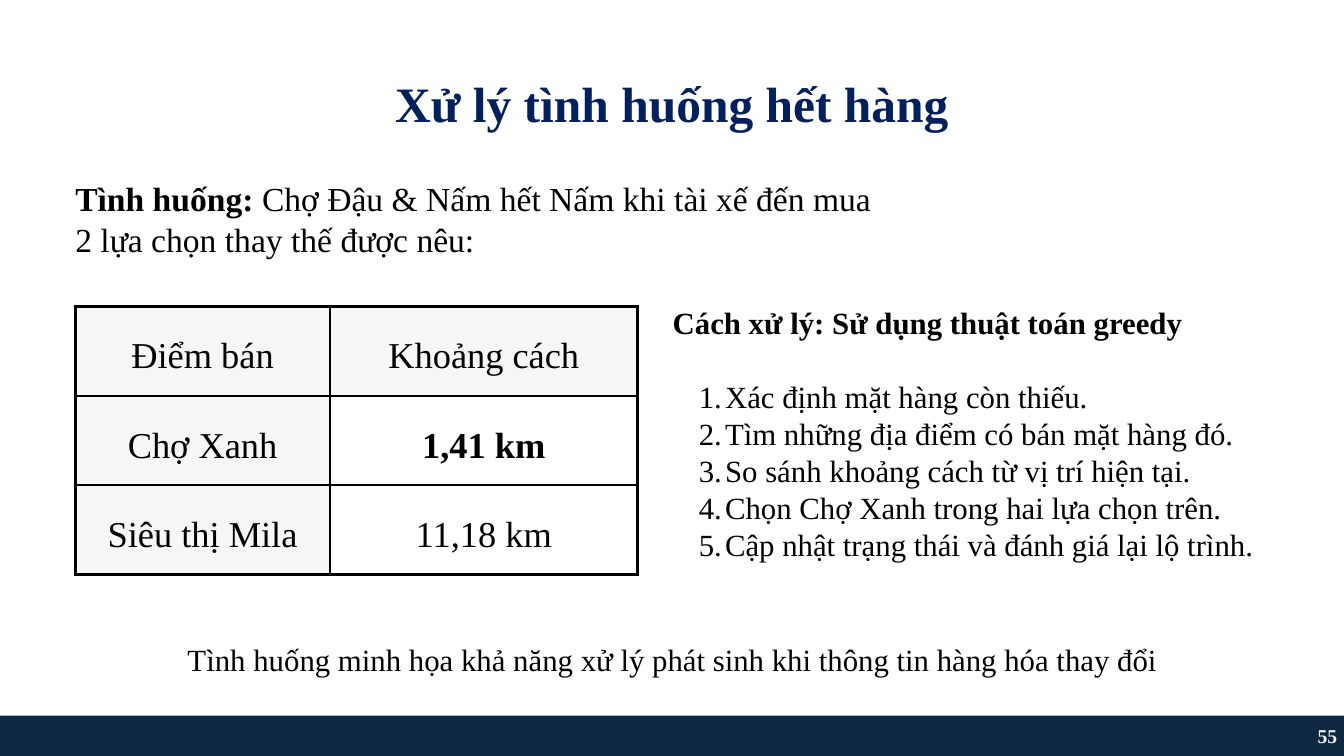
from dataclasses import dataclass

from lxml.etree import SubElement
from pptx import Presentation
from pptx.dml.color import RGBColor
from pptx.enum.shapes import MSO_SHAPE
from pptx.enum.text import MSO_ANCHOR as Anchor, MSO_AUTO_SIZE as AutoSize, PP_ALIGN as Align
from pptx.oxml.ns import qn
from pptx.util import Emu, Pt

PX = 9144  # EMU in one px, at 100 px to the inch
FONT = "Times New Roman"
COLORS = {
    "navy": "002060",
    "footer": "0E2841",
    "page": "F2F2F2",
    "text": "000000",
    "label": "F6F6F6",
    "white": "FFFFFF",
}


@dataclass(frozen=True)
class Box:
    left: int
    top: int
    width: int
    height: int

    def emu(self) -> tuple:
        return tuple(px(n) for n in (self.left, self.top, self.width, self.height))


@dataclass(frozen=True)
class Style:
    size: float
    line: float
    color: str = "text"
    bold: bool | None = False
    align: Align = Align.LEFT


TITLE = Style(53, 63.6, "navy", True, Align.CENTER)
INTRO = Style(36, 43.2)
MIXED = Style(36, 43.2, bold=None)
HEADING = Style(33, 39.6, bold=True)
STEP = Style(33, 39.6)
CLOSING = Style(33, 46.2, align=Align.CENTER)
CELL = Style(39, 54.6, align=Align.CENTER)
CELL_BOLD = Style(39, 54.6, bold=True, align=Align.CENTER)
PAGE = Style(21, 25.2, "page", True, Align.RIGHT)

ROWS = [
    ("Điểm bán", "Khoảng cách"),
    ("Chợ Xanh", "1,41 km"),
    ("Siêu thị Mila", "11,18 km"),
]
NEAREST = "1,41 km"
STEPS = [
    "Xác định mặt hàng còn thiếu.",
    "Tìm những địa điểm có bán mặt hàng đó.",
    "So sánh khoảng cách từ vị trí hiện tại.",
    "Chọn Chợ Xanh trong hai lựa chọn trên.",
    "Cập nhật trạng thái và đánh giá lại lộ trình.",
]


def px(length: int) -> Emu:
    return Emu(length * PX)


def rgb(name: str) -> RGBColor:
    return RGBColor.from_string(COLORS[name])


def format_paragraph(paragraph, style: Style) -> None:
    paragraph.alignment = style.align
    paragraph.line_spacing = Pt(style.line)
    font = paragraph.font
    font.name, font.size, font.bold = FONT, Pt(style.size), style.bold
    font.color.rgb = rgb(style.color)


def prepare_frame(frame, anchor: Anchor = Anchor.TOP) -> None:
    """Wrap the text and take the insets away."""
    frame.word_wrap = True
    frame.auto_size = AutoSize.NONE
    frame.vertical_anchor = anchor
    frame.margin_left = frame.margin_top = frame.margin_right = frame.margin_bottom = 0


def add_text(slide, box: Box, text: str, style: Style, anchor: Anchor = Anchor.TOP):
    frame = slide.shapes.add_textbox(*box.emu()).text_frame
    prepare_frame(frame, anchor)
    frame.text = text
    format_paragraph(frame.paragraphs[0], style)
    return frame


def add_title(slide, box: Box, text: str) -> None:
    title = slide.shapes.title
    title.left, title.top, title.width, title.height = box.emu()
    prepare_frame(title.text_frame)
    title.text_frame.text = text
    format_paragraph(title.text_frame.paragraphs[0], TITLE)


def add_intro(slide, box: Box) -> None:
    frame = add_text(slide, box, "", MIXED)
    for text, bold in (
        ("Tình huống: ", True),
        ("Chợ Đậu & Nấm hết Nấm khi tài xế đến mua", False),
    ):
        run = frame.paragraphs[0].add_run()
        run.text, run.font.bold = text, bold
    paragraph = frame.add_paragraph()
    paragraph.text = "2 lựa chọn thay thế được nêu:"
    format_paragraph(paragraph, INTRO)


def add_steps(slide, box: Box) -> None:
    frame = add_text(slide, box, "Cách xử lý: Sử dụng thuật toán greedy", HEADING)
    for index, step in enumerate(STEPS):
        paragraph = frame.add_paragraph()
        paragraph.text = step
        paragraph.level = 1
        properties = paragraph._p.get_or_add_pPr()
        properties.set("marL", str(px(78)))
        properties.set("indent", str(px(-39)))
        SubElement(properties, qn("a:buAutoNum"), type="arabicPeriod")
        paragraph.space_before = Pt(STEP.line if index == 0 else 0)
        format_paragraph(paragraph, STEP)


def add_borders(cell) -> None:
    properties = cell._tc.get_or_add_tcPr()
    for index, side in enumerate(("lnL", "lnR", "lnT", "lnB")):
        line = SubElement(properties, qn(f"a:{side}"), w=str(Pt(3)))
        fill = SubElement(line, qn("a:solidFill"))
        SubElement(fill, qn("a:srgbClr"), val=COLORS["text"])
        properties.insert(index, line)


def add_distances(slide, box: Box, widths: tuple[int, ...]) -> None:
    table = slide.shapes.add_table(len(ROWS), len(widths), *box.emu()).table
    table.first_row = table.horz_banding = False
    for column, width in zip(table.columns, widths):
        column.width = px(width)
    for row_index, row in enumerate(ROWS):
        table.rows[row_index].height = px(box.height // len(ROWS))
        for column_index, text in enumerate(row):
            cell = table.cell(row_index, column_index)
            is_label = row_index == 0 or column_index == 0
            cell.fill.solid()
            cell.fill.fore_color.rgb = rgb("label" if is_label else "white")
            add_borders(cell)
            cell.vertical_anchor = Anchor.MIDDLE
            cell.margin_left = cell.margin_right = px(21)
            cell.margin_top = cell.margin_bottom = px(21)
            cell.text = text
            style = CELL_BOLD if text == NEAREST else CELL
            format_paragraph(cell.text_frame.paragraphs[0], style)


def add_footer(slide) -> None:
    bar = slide.shapes.add_shape(MSO_SHAPE.RECTANGLE, *Box(0, 1065, 2000, 60).emu())
    bar.shadow.inherit = False
    bar.fill.solid()
    bar.fill.fore_color.rgb = rgb("footer")
    bar.line.fill.background()
    add_text(slide, Box(1540, 1064, 450, 61), "55", PAGE, Anchor.MIDDLE)


def main() -> None:
    presentation = Presentation()
    presentation.slide_width, presentation.slide_height = px(2000), px(1125)
    slide = presentation.slides.add_slide(presentation.slide_layouts[5])
    add_footer(slide)
    add_distances(slide, Box(112, 456, 837, 399), (379, 458))
    add_title(slide, Box(579, 109, 842, 91), "Xử lý tình huống hết hàng")
    add_intro(slide, Box(112, 265, 1705, 122))
    add_steps(slide, Box(1001, 452, 936, 435))
    add_text(
        slide,
        Box(221, 945, 1559, 64),
        "Tình huống minh họa khả năng xử lý phát sinh khi thông tin hàng hóa thay đổi",
        CLOSING,
    )
    presentation.save("out.pptx")


if __name__ == "__main__":
    main()
